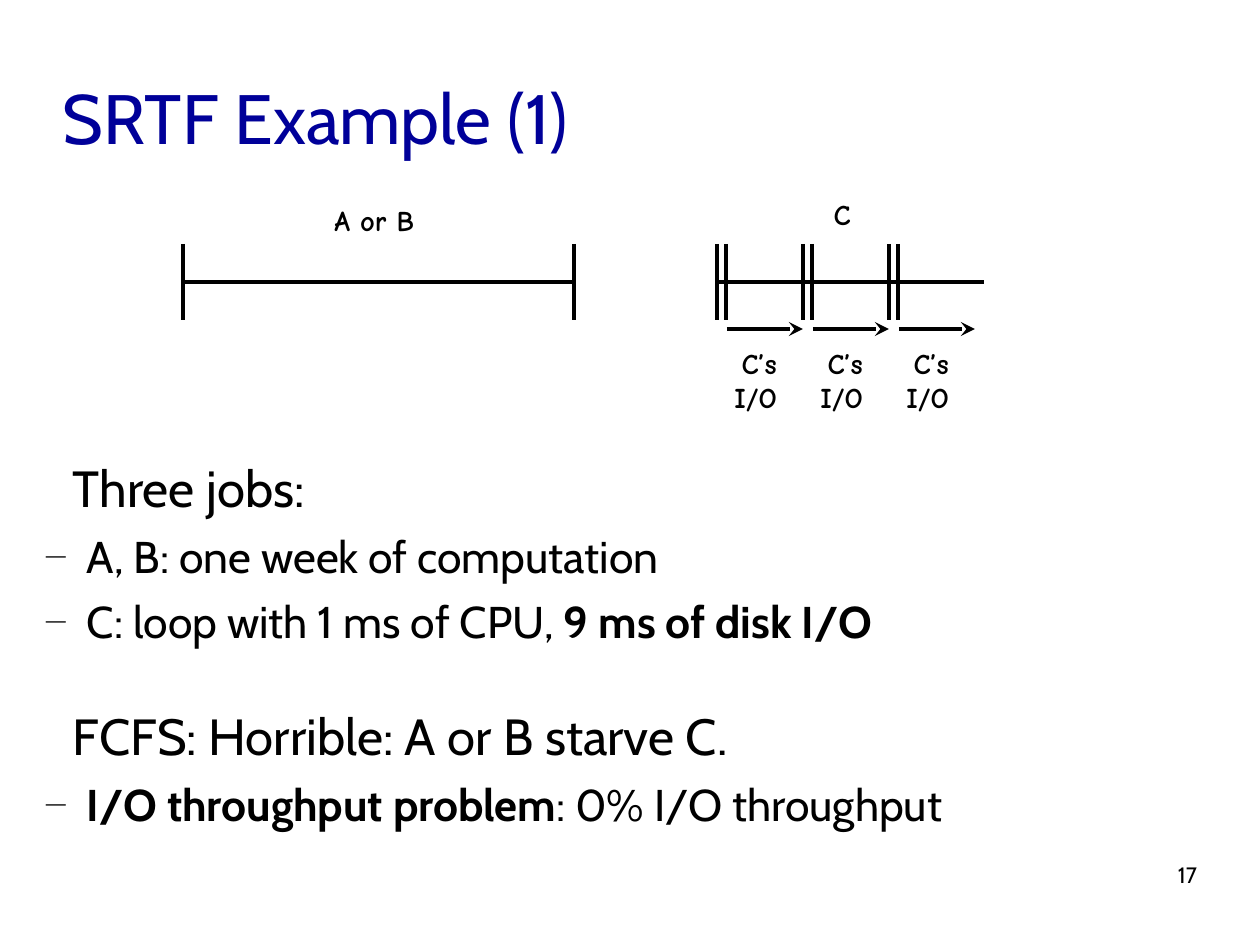
from lxml.etree import SubElement
from pptx import Presentation
from pptx.dml.color import RGBColor
from pptx.enum.shapes import MSO_CONNECTOR
from pptx.enum.text import MSO_ANCHOR, MSO_AUTO_SIZE, PP_ALIGN
from pptx.oxml.ns import qn
from pptx.util import Pt

PX = 8000  # EMU in one px
COLORS = {"title": "000099", "ink": "000000"}
TEXT_FONT, LABEL_FONT = "Cabin", "Comic Neue"

AXIS_Y, TICK_TOP, TICK_BOTTOM, ARROW_Y = 282, 244, 320, 329
LONG_JOB = (183, 574)
LOOP_START, LOOP_END, LOOP_PITCH, CPU_WIDTH, LOOPS = 717, 984, 86, 9, 3

# Level, then runs of (text, bold)
BODY = [
    (0, [("Three jobs:", False)]),
    (1, [("A, B: one week of computation", False)]),
    (1, [("C: loop with 1 ms of CPU, ", False), ("9 ms of disk I/O", True)]),
    (0, [("FCFS: Horrible: A or B starve C.", False)]),
    (1, [("I/O throughput problem", True), (": 0% I/O throughput", False)]),
]


def color(name):
    return RGBColor.from_string(COLORS[name])


def style(paragraph, size, font, ink="ink", bold=False):
    paragraph.font.size = Pt(size)
    paragraph.font.name = font
    paragraph.font.bold = bold
    paragraph.font.color.rgb = color(ink)


def place(shape, left, top, width, height):
    shape.left, shape.top = left * PX, top * PX
    shape.width, shape.height = width * PX, height * PX


def clear_margins(frame):
    frame.margin_left = frame.margin_right = 0
    frame.margin_top = frame.margin_bottom = 0
    frame.auto_size = MSO_AUTO_SIZE.NONE
    frame.word_wrap = True


def set_bullet(paragraph, level):
    """Give level 1 a hanging dash and level 0 no bullet."""
    properties = paragraph._p.get_or_add_pPr()
    margin = 41 * PX if level else 27 * PX
    properties.set("marL", str(margin))
    properties.set("indent", str(-margin if level else 0))
    if level:
        bullet_color = SubElement(properties, qn("a:buClr"))
        SubElement(bullet_color, qn("a:srgbClr"), val=COLORS["ink"])
        SubElement(properties, qn("a:buSzPct"), val="45000")
        SubElement(properties, qn("a:buChar"), char="―")
    else:
        SubElement(properties, qn("a:buNone"))


def add_title(slide):
    title = slide.shapes.title
    place(title, 63, 38, 1134, 158)
    frame = title.text_frame
    clear_margins(frame)
    frame.vertical_anchor = MSO_ANCHOR.MIDDLE
    frame.text = "SRTF Example (1)"
    frame.paragraphs[0].alignment = PP_ALIGN.LEFT
    style(frame.paragraphs[0], 44, TEXT_FONT, "title")


def add_body(slide):
    body = slide.placeholders[1]
    place(body, 46, 457, 1151, 377)
    frame = body.text_frame
    clear_margins(frame)
    for index, (level, runs) in enumerate(BODY):
        paragraph = frame.add_paragraph() if index else frame.paragraphs[0]
        paragraph.level = level
        set_bullet(paragraph, level)
        paragraph.space_before = Pt(28.8 if index and not level else 0)
        paragraph.space_after = Pt(7.2)
        style(paragraph, 28 if level else 32, TEXT_FONT)
        for text, bold in runs:
            run = paragraph.add_run()
            run.text = text
            run.font.bold = bold


def add_line(slide, x1, y1, x2, y2, arrow=False):
    line = slide.shapes.add_connector(
        MSO_CONNECTOR.STRAIGHT, x1 * PX, y1 * PX, x2 * PX, y2 * PX)
    line.line.width = Pt(3)
    line.line.color.rgb = color("ink")
    if arrow:
        SubElement(line.line._get_or_add_ln(), qn("a:tailEnd"), type="stealth")
    SubElement(line._element.spPr, qn("a:effectLst"))


def add_tick(slide, x):
    add_line(slide, x, TICK_TOP, x, TICK_BOTTOM)


def add_label(slide, text, left, top, width, height, align=PP_ALIGN.RIGHT):
    box = slide.shapes.add_textbox(left * PX, top * PX, width * PX, height * PX)
    frame = box.text_frame
    frame.word_wrap = False
    frame.text = text
    for paragraph in frame.paragraphs:
        paragraph.alignment = align
        style(paragraph, 18, LABEL_FONT, bold=True)


def add_long_job(slide):
    start, end = LONG_JOB
    add_line(slide, start, AXIS_Y, end, AXIS_Y)
    for x in LONG_JOB:
        add_tick(slide, x)
    add_label(slide, "A or B", 323, 197, 103, 46, PP_ALIGN.LEFT)


def add_loop_job(slide):
    add_line(slide, LOOP_START, AXIS_Y, LOOP_END, AXIS_Y)
    add_label(slide, "C", 822, 191, 40, 46)
    for loop in range(LOOPS):
        start = LOOP_START + loop * LOOP_PITCH
        io_start = start + CPU_WIDTH
        add_tick(slide, start)
        add_tick(slide, io_start)
        add_line(slide, io_start + 1, ARROW_Y, start + LOOP_PITCH, ARROW_Y, arrow=True)
        add_label(slide, "C’s \nI/O", start + 4, 340, 67, 80)


def add_page_number(slide):
    box = slide.shapes.add_textbox(903 * PX, 861 * PX, 294 * PX, 65 * PX)
    clear_margins(box.text_frame)
    box.text_frame.text = "17"
    paragraph = box.text_frame.paragraphs[0]
    paragraph.alignment = PP_ALIGN.RIGHT
    style(paragraph, 14, TEXT_FONT)


def main():
    presentation = Presentation()
    presentation.slide_width, presentation.slide_height = 1260 * PX, 945 * PX
    slide = presentation.slides.add_slide(presentation.slide_layouts[1])
    add_title(slide)
    add_body(slide)
    add_loop_job(slide)
    add_long_job(slide)
    add_page_number(slide)
    presentation.save("out.pptx")


if __name__ == "__main__":
    main()
